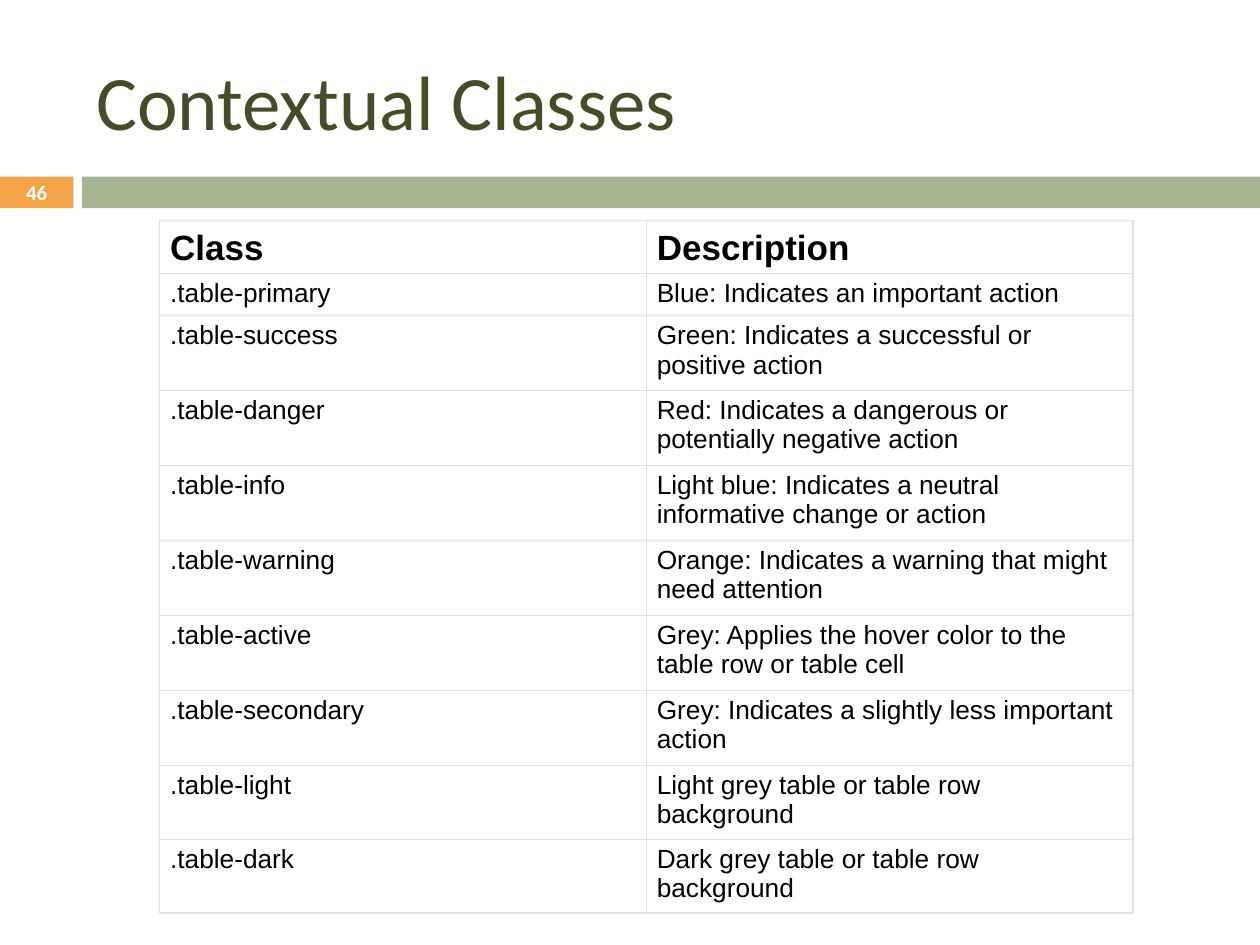
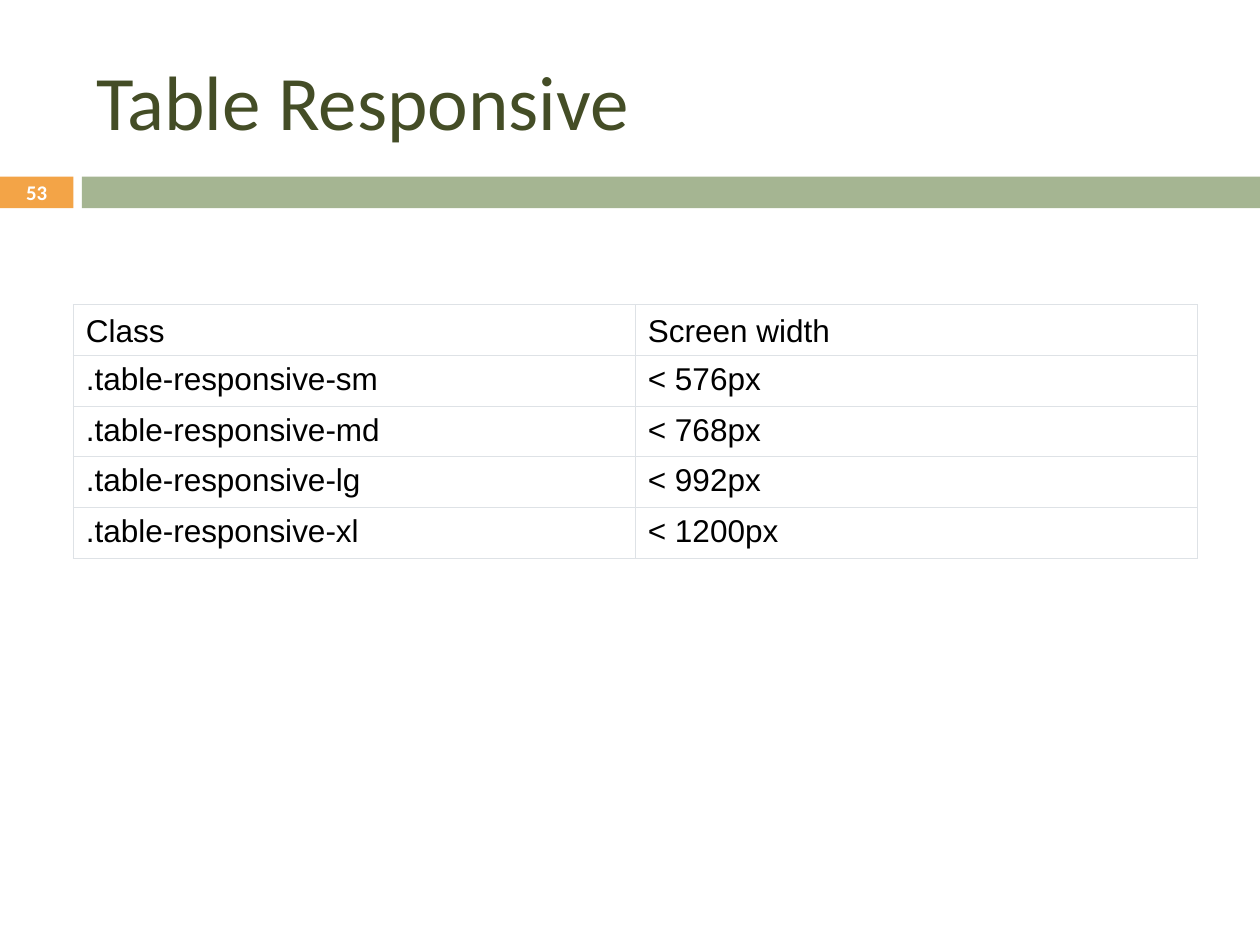
from dataclasses import dataclass

from lxml.etree import SubElement
from pptx import Presentation
from pptx.dml.color import RGBColor
from pptx.enum.shapes import MSO_SHAPE
from pptx.enum.text import MSO_ANCHOR, PP_ALIGN
from pptx.oxml.ns import qn
from pptx.presentation import Presentation as Deck
from pptx.slide import Slide
from pptx.table import _Cell as Cell
from pptx.text.text import TextFrame
from pptx.util import Cm, Pt

WHITE = RGBColor(0xFF, 0xFF, 0xFF)
BLACK = RGBColor(0x00, 0x00, 0x00)
OLIVE = RGBColor(0x44, 0x4D, 0x26)
ORANGE = RGBColor(0xF3, 0xA4, 0x47)
SAGE = RGBColor(0xA5, 0xB5, 0x92)
BORDER_GREY = RGBColor(0xDE, 0xE2, 0xE6)


@dataclass(frozen=True)
class Area:
    left: float
    top: float
    width: float
    height: float

    def lengths(self) -> tuple[Cm, Cm, Cm, Cm]:
        return Cm(self.left), Cm(self.top), Cm(self.width), Cm(self.height)


@dataclass(frozen=True)
class TextStyle:
    font: str
    size: float
    color: RGBColor
    bold: bool = False
    align: PP_ALIGN = PP_ALIGN.LEFT


@dataclass(frozen=True)
class Band:
    area: Area
    color: RGBColor


@dataclass(frozen=True)
class ClassTable:
    left: float
    top: float
    width: float
    row_heights: list[float]
    margin_x: float
    margin_y: float
    header_style: TextStyle
    body_style: TextStyle
    rows: list[tuple[str, str]]


@dataclass(frozen=True)
class ClassSlide:
    title: str
    number: int
    table: ClassTable


BANDS = [
    Band(Area(0, 3.56, 1.48, 0.64), ORANGE),
    Band(Area(1.65, 3.56, 23.75, 0.64), SAGE),
]
TITLE_AREA = Area(1.69, 0.64, 22.66, 2.75)
NUMBER_AREA = Area(0, 3.53, 1.48, 0.69)
TITLE_STYLE = TextStyle("Calibri", 44, OLIVE)
NUMBER_STYLE = TextStyle("Calibri", 11.9, WHITE, bold=True, align=PP_ALIGN.CENTER)
LARGE_CELL = TextStyle("Arial", 18, BLACK)

SLIDES = [
    ClassSlide(
        "Contextual Classes",
        46,
        ClassTable(
            left=3.22,
            top=4.44,
            width=19.62,
            row_heights=[1.0, 0.85] + [1.51] * 6 + [1.39] * 2,
            margin_x=0.21,
            margin_y=0.11,
            header_style=TextStyle("Arial", 20, BLACK, bold=True),
            body_style=TextStyle("Arial", 15, BLACK),
            rows=[
                ("Class", "Description"),
                (".table-primary", "Blue: Indicates an important action"),
                (".table-success", "Green: Indicates a successful or positive action"),
                (".table-danger", "Red: Indicates a dangerous or potentially negative action"),
                (".table-info", "Light blue: Indicates a neutral informative change or action"),
                (".table-warning", "Orange: Indicates a warning that might need attention"),
                (".table-active", "Grey: Applies the hover color to the table row or table cell"),
                (".table-secondary", "Grey: Indicates a slightly less important action"),
                (".table-light", "Light grey table or table row background"),
                (".table-dark", "Dark grey table or table row background"),
            ],
        ),
    ),
    ClassSlide(
        "Table Responsive",
        53,
        ClassTable(
            left=1.48,
            top=6.14,
            width=22.66,
            row_heights=[0.99] * 5,
            margin_x=0.25,
            margin_y=0.13,
            header_style=LARGE_CELL,
            body_style=LARGE_CELL,
            rows=[
                ("Class", "Screen width"),
                (".table-responsive-sm", "< 576px"),
                (".table-responsive-md", "< 768px"),
                (".table-responsive-lg", "< 992px"),
                (".table-responsive-xl", "< 1200px"),
            ],
        ),
    ),
]


def write_text(frame: TextFrame, text: str, style: TextStyle) -> None:
    para = frame.paragraphs[0]
    para.alignment = style.align
    span = para.add_run()
    span.text = text
    span.font.name = style.font
    span.font.size = Pt(style.size)
    span.font.bold = style.bold
    span.font.color.rgb = style.color


def add_text(page: Slide, area: Area, text: str, style: TextStyle) -> None:
    box = page.shapes.add_textbox(*area.lengths())
    frame = box.text_frame
    frame.word_wrap = True
    frame.vertical_anchor = MSO_ANCHOR.MIDDLE
    write_text(frame, text, style)


def add_band(page: Slide, band: Band) -> None:
    shape = page.shapes.add_shape(MSO_SHAPE.RECTANGLE, *band.area.lengths())
    shape.shadow.inherit = False
    shape.fill.solid()
    shape.fill.fore_color.rgb = band.color
    shape.line.fill.background()


def add_borders(cell: Cell) -> None:
    properties = cell._tc.get_or_add_tcPr()
    for side in ("a:lnL", "a:lnR", "a:lnT", "a:lnB"):
        line = SubElement(properties, qn(side), w=str(Pt(0.75)))
        fill = SubElement(line, qn("a:solidFill"))
        SubElement(fill, qn("a:srgbClr"), val=str(BORDER_GREY))


def add_class_table(page: Slide, spec_table: ClassTable) -> None:
    column_count = len(spec_table.rows[0])
    area = Area(spec_table.left, spec_table.top, spec_table.width, sum(spec_table.row_heights))
    table = page.shapes.add_table(len(spec_table.rows), column_count, *area.lengths()).table
    table.first_row = False
    table.horz_banding = False
    for row, height in zip(table.rows, spec_table.row_heights):
        row.height = Cm(height)
    for row_index, texts in enumerate(spec_table.rows):
        is_header = row_index == 0
        style = spec_table.header_style if is_header else spec_table.body_style
        for column_index, text in enumerate(texts):
            cell = table.cell(row_index, column_index)
            add_borders(cell)
            cell.fill.solid()
            cell.fill.fore_color.rgb = WHITE
            cell.margin_left = cell.margin_right = Cm(spec_table.margin_x)
            cell.margin_top = cell.margin_bottom = Cm(spec_table.margin_y)
            cell.vertical_anchor = MSO_ANCHOR.BOTTOM if is_header else MSO_ANCHOR.TOP
            write_text(cell.text_frame, text, style)


def add_class_slide(deck: Deck, content: ClassSlide) -> None:
    page = deck.slides.add_slide(deck.slide_layouts[6])
    for band in BANDS:
        add_band(page, band)
    add_text(page, TITLE_AREA, content.title, TITLE_STYLE)
    add_class_table(page, content.table)
    add_text(page, NUMBER_AREA, str(content.number), NUMBER_STYLE)


def main() -> None:
    deck = Presentation()
    deck.slide_width = Cm(25.4)
    deck.slide_height = Cm(19.05)
    for content in SLIDES:
        add_class_slide(deck, content)
    deck.save("out.pptx")


if __name__ == "__main__":
    main()
